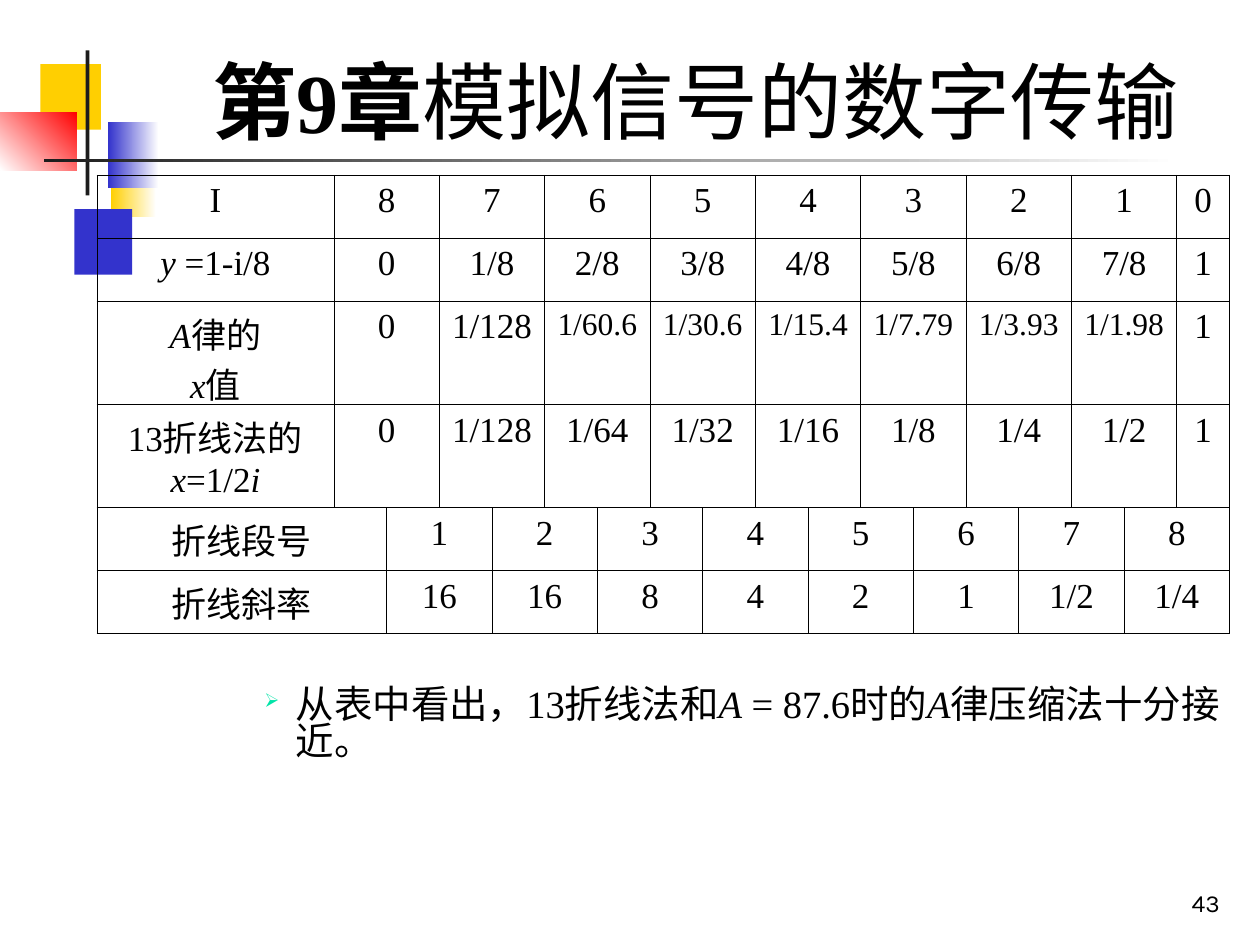
from lxml import etree
from pptx import Presentation
from pptx import util as u
from pptx.dml.color import RGBColor
from pptx.enum import shapes, text
from pptx.oxml.ns import qn

BLACK = RGBColor(0x00, 0x00, 0x00)
WHITE = RGBColor(0xFF, 0xFF, 0xFF)
YELLOW = RGBColor(0xFF, 0xCF, 0x01)
BLUE = RGBColor(0x33, 0x33, 0xCC)
RED = RGBColor(0xFF, 0x00, 0x00)
CHARCOAL = RGBColor(0x1C, 0x1C, 0x1C)
MINT = RGBColor(0x00, 0xE4, 0xA8)

SERIF = "Times New Roman"
SANS = "Karla"
COLUMNS, ROWS = 100, 75


class Deck:
    def __init__(self):
        self.presentation = Presentation()
        self.presentation.slide_width = u.Inches(10)
        self.presentation.slide_height = u.Inches(7.5)
        self.column = self.presentation.slide_width / COLUMNS
        self.row = self.presentation.slide_height / ROWS
        self.slide = self.presentation.slides.add_slide(self.presentation.slide_layouts[5])

    def box(self, left, top, width, height):
        return (u.Emu(round(left * self.column)), u.Emu(round(top * self.row)),
                u.Emu(round(width * self.column)), u.Emu(round(height * self.row)))

    def run(self, paragraph, content, size, font=SERIF, bold=False, italic=False):
        run = paragraph.add_run()
        run.text = content
        run.font.name = font
        run.font.size = u.Pt(size)
        run.font.bold = bold
        run.font.italic = italic
        run.font.color.rgb = BLACK

    def mixed(self, paragraph, content, size):
        for index, part in enumerate(content.split("*")):
            if part:
                self.run(paragraph, part, size, italic=index % 2 == 1)

    def title(self, place, bold_part, plain_part, size):
        title = self.slide.shapes.title
        title.left, title.top, title.width, title.height = self.box(*place)
        frame = title.text_frame
        frame.auto_size = text.MSO_AUTO_SIZE.NONE
        frame.vertical_anchor = text.MSO_ANCHOR.BOTTOM
        paragraph = frame.paragraphs[0]
        paragraph.alignment = text.PP_ALIGN.CENTER
        self.run(paragraph, bold_part, size, bold=True)
        self.run(paragraph, plain_part, size)

    def block(self, place, color, fade=None, angle=180):
        shape = self.slide.shapes.add_shape(shapes.MSO_SHAPE.RECTANGLE, *self.box(*place))
        shape.shadow.inherit = False
        shape.line.fill.background()
        if fade is None:
            shape.fill.solid()
            shape.fill.fore_color.rgb = color
            return
        shape.fill.gradient()
        shape.fill.gradient_angle = angle
        for stop, stop_color in zip(shape.fill.gradient_stops, (color, fade)):
            stop.color.rgb = stop_color

    def text_box(self, place, anchor=text.MSO_ANCHOR.TOP):
        frame = self.slide.shapes.add_textbox(*self.box(*place)).text_frame
        frame.word_wrap = True
        frame.vertical_anchor = anchor
        return frame.paragraphs[0]

    def bullet(self, place, content, size):
        paragraph = self.text_box(place)
        properties = paragraph._p.get_or_add_pPr()
        properties.set("marL", str(u.Inches(2.25)))
        properties.set("indent", str(u.Inches(-0.25)))
        color = etree.SubElement(properties, qn("a:buClr"))
        etree.SubElement(color, qn("a:srgbClr"), val=str(MINT))
        etree.SubElement(properties, qn("a:buSzPct"), val="50000")
        etree.SubElement(properties, qn("a:buChar"), char="➢")
        paragraph.line_spacing = 0.8
        self.mixed(paragraph, content, size)

    def page_number(self, place, number, size):
        paragraph = self.text_box(place, text.MSO_ANCHOR.BOTTOM)
        paragraph.alignment = text.PP_ALIGN.RIGHT
        self.run(paragraph, number, size, font=SANS)

    def table(self, place, widths, heights):
        frame = self.slide.shapes.add_table(len(heights), len(widths), *self.box(*place))
        table = frame.table
        table.first_row = table.horz_banding = False
        for column, width in zip(table.columns, widths):
            column.width = u.Emu(round(width * self.column))
        for row, height in zip(table.rows, heights):
            row.height = u.Emu(round(height * self.row))
        for cell in table.iter_cells():
            self.border(cell)
            cell.fill.background()
        return table

    def border(self, cell):
        properties = cell._tc.get_or_add_tcPr()
        for side in ("a:lnL", "a:lnR", "a:lnT", "a:lnB"):
            line = etree.SubElement(properties, qn(side), w=str(u.Pt(0.45)))
            fill = etree.SubElement(line, qn("a:solidFill"))
            etree.SubElement(fill, qn("a:srgbClr"), val=str(BLACK))

    def fill_row(self, table, row, spans, contents, small=()):
        column = 0
        for index, (span, content) in enumerate(zip(spans, contents)):
            cell = table.cell(row, column)
            if span > 1:
                cell.merge(table.cell(row, column + span - 1))
            size = 18 if index in small else 20
            for number, line in enumerate(content.split("\n")):
                frame = cell.text_frame
                paragraph = frame.add_paragraph() if number else frame.paragraphs[0]
                paragraph.alignment = text.PP_ALIGN.CENTER
                self.mixed(paragraph, line, size)
            column += span


def main():
    deck = Deck()

    deck.block((8.8, 12, 3.6, 5.2), WHITE, YELLOW)
    deck.block((5.9, 16.6, 4.6, 5.2), BLUE)
    deck.block((3.2, 5.1, 4.8, 5.2), YELLOW)
    deck.block((8.6, 9.7, 4, 5.2), WHITE, BLUE)
    deck.block((0, 8.9, 6.1, 4.6), RED, WHITE, angle=225)
    deck.block((6.8, 4, 0.3, 11.5), CHARCOAL)
    deck.block((3.5, 12.6, 90, 0.3), WHITE, CHARCOAL)

    deck.title((12.6, 2.3, 85.2, 10.1), "第9章", "模拟信号的数字传输", 48)
    deck.bullet((0, 54.2, 100, 17.2),
                "从表中看出，13折线法和*A* = 87.6时的*A*律压缩法十分接近。", 22)

    table_width, label_width, half_columns = 89.9, 18.8, 17
    half_width = (table_width - label_width) / half_columns
    table = deck.table((7.7, 13.9, table_width, 36.4),
                       [label_width] + [half_width] * half_columns,
                       [5, 5, 8.2, 8.2, 5, 5])

    point_spans = [1] + [2] * 8 + [1]
    segment_spans = [2] * 9
    points = [
        ["I"] + [str(i) for i in range(8, -1, -1)],
        ["*y* =1-i/8", "0"] + [f"{i}/8" for i in range(1, 8)] + ["1"],
        ["*A*律的\n*x*值", "0", "1/128", "1/60.6", "1/30.6", "1/15.4",
         "1/7.79", "1/3.93", "1/1.98", "1"],
        ["13折线法的\n*x*=1/2*i*", "0"] + [f"1/{2 ** i}" for i in (7, 6, 5, 4, 3, 2, 1)] + ["1"],
    ]
    segments = [
        ["折线段号"] + [str(i) for i in range(1, 9)],
        ["折线斜率", "16", "16", "8", "4", "2", "1", "1/2", "1/4"],
    ]
    for row, contents in enumerate(points):
        deck.fill_row(table, row, point_spans, contents, range(3, 9) if row == 2 else ())
    for row, contents in enumerate(segments, len(points)):
        deck.fill_row(table, row, segment_spans, contents)

    deck.page_number((77, 68.3, 20.8, 5), "43", 14)
    deck.presentation.save("out.pptx")


if __name__ == "__main__":
    main()
